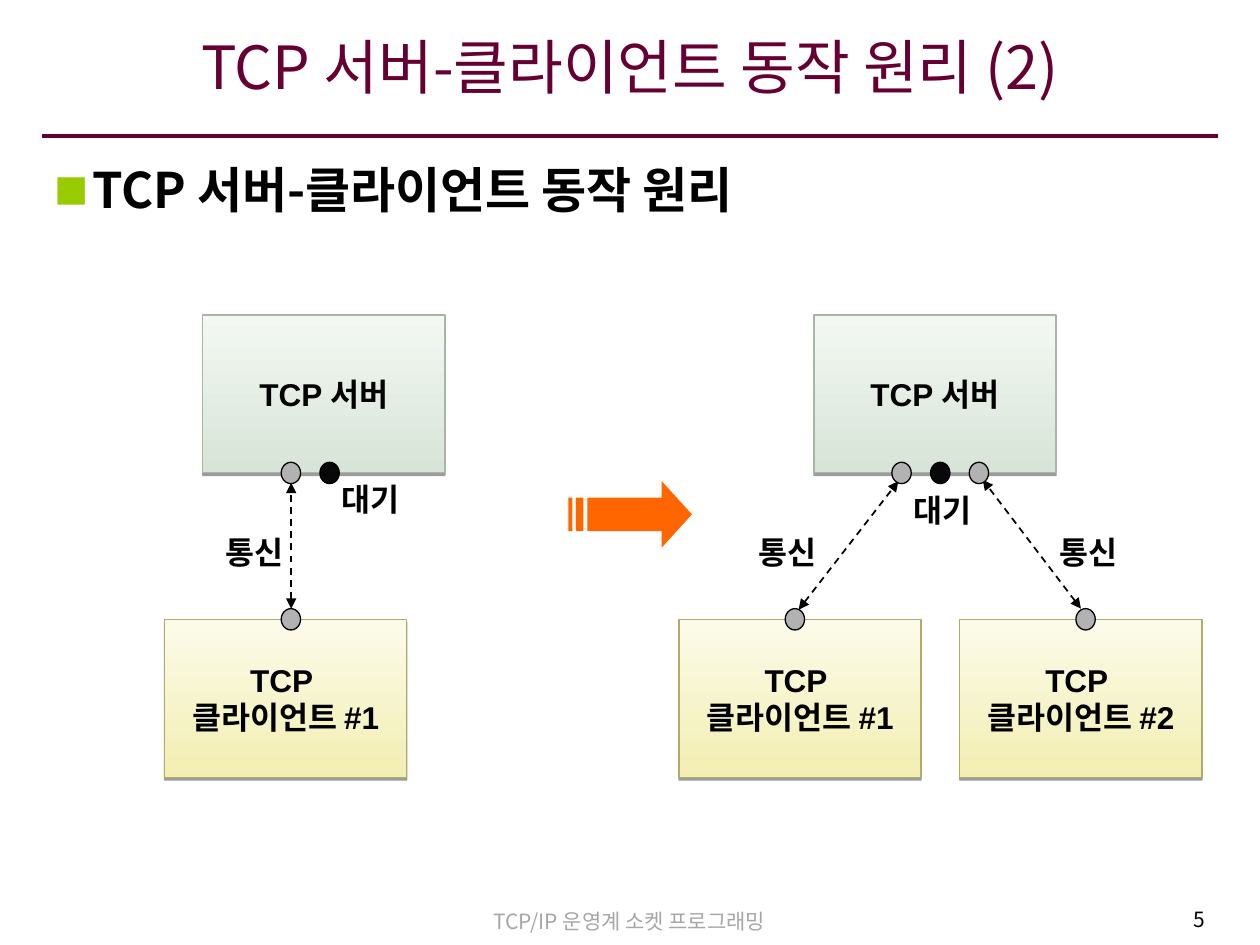
from dataclasses import dataclass

from lxml import etree
from pptx import Presentation
from pptx import util as u
from pptx.dml.color import RGBColor
from pptx.enum import dml, shapes, text
from pptx.oxml import ns

KOREAN = "Noto Sans CJK KR"
LATIN = "Arial"
BLACK = RGBColor(0, 0, 0)
WINE = RGBColor(0x66, 0x00, 0x33)
FOOTER_GRAY = RGBColor(0xA6, 0xA6, 0xA6)
ORANGE = RGBColor(0xFF, 0x66, 0x00)
WAITING = RGBColor(0x08, 0x08, 0x08)
CONNECTED = RGBColor(0xB2, 0xB2, 0xB2)
SERVER_COLORS = (RGBColor(0xD7, 0xE4, 0xD7), RGBColor(0xF3, 0xF8, 0xF3), RGBColor(0xA9, 0xB5, 0xA9))
CLIENT_COLORS = (RGBColor(0xF2, 0xEE, 0xB2), RGBColor(0xFC, 0xFB, 0xEA), RGBColor(0xAF, 0xAC, 0x67))

SERVER_TOP, CLIENT_TOP = 6.35, 12.49
BOX_WIDTH, BOX_HEIGHT = 4.88, 3.18
DOT_WIDTH, DOT_HEIGHT = 0.39, 0.43
SERVER_DOT_TOP, CLIENT_DOT_TOP = 9.32, 12.27
ARROW_LEFT, ARROW_MIDDLE = 11.46, 10.37


@dataclass(frozen=True)
class Node:
    left: float
    top: float
    label: str
    colors: tuple


@dataclass(frozen=True)
class Dot:
    left: float
    top: float
    color: RGBColor


@dataclass(frozen=True)
class Link:
    start: tuple
    end: tuple


@dataclass(frozen=True)
class Label:
    left: float
    top: float
    caption: str


NODES = [Node(left, SERVER_TOP, "TCP 서버", SERVER_COLORS) for left in (4.09, 16.41)] + [
    Node(left, CLIENT_TOP, f"TCP \n클라이언트 #{number}", CLIENT_COLORS)
    for left, number in ((3.32, 1), (13.69, 1), (19.35, 2))
]
DOTS = (
    [Dot(left, SERVER_DOT_TOP, WAITING) for left in (6.45, 18.76)]
    + [Dot(left, SERVER_DOT_TOP, CONNECTED) for left in (5.67, 17.98, 19.54)]
    + [Dot(left, CLIENT_DOT_TOP, CONNECTED) for left in (5.67, 15.83, 21.69)]
)
LINKS = [
    Link((5.87, 12.27), (5.87, 9.73)),
    Link((16.1, 12.29), (18.11, 9.7)),
    Link((21.79, 12.27), (19.81, 9.67)),
]
LABELS = [Label(left, 10.8, "통신") for left in (4.29, 15.04, 21.11)] + [
    Label(6.63, 9.73, "대기"),
    Label(18.16, 9.96, "대기"),
]


def add_xml(parent, tag: str, **attributes: str):
    return etree.SubElement(parent, ns.qn(tag), attributes)


def write_text(frame, content: str, *, size: float, color=BLACK, font=KOREAN, bold=False,
               align=text.PP_ALIGN.LEFT, anchor=text.MSO_ANCHOR.TOP, wrap=True) -> None:
    frame.word_wrap = wrap
    frame.auto_size = text.MSO_AUTO_SIZE.NONE
    frame.vertical_anchor = anchor
    for index, line in enumerate(content.split("\n")):
        paragraph = frame.add_paragraph() if index else frame.paragraphs[0]
        paragraph.alignment = align
        run = paragraph.add_run()
        run.text = line
        run.font.name = font
        run.font.size = u.Pt(size)
        run.font.bold = bold
        run.font.color.rgb = color
        add_xml(run._r.get_or_add_rPr(), "a:ea", typeface=KOREAN)


def add_text(slide, box: tuple, content: str, **style):
    shape = slide.shapes.add_textbox(*map(u.Cm, box))
    write_text(shape.text_frame, content, **style)
    return shape


def add_line(slide, start: tuple, end: tuple, color: RGBColor, width: float):
    connector = slide.shapes.add_connector(shapes.MSO_CONNECTOR.STRAIGHT, *map(u.Cm, start + end))
    connector.line.color.rgb = color
    connector.line.width = u.Pt(width)
    add_xml(connector._element.spPr, "a:effectLst")
    return connector


def add_link(slide, link: Link) -> None:
    line = add_line(slide, link.start, link.end, BLACK, 1).line
    line.dash_style = dml.MSO_LINE.DASH
    for tag in ("a:headEnd", "a:tailEnd"):
        add_xml(line._get_or_add_ln(), tag, type="triangle")


def add_outlined(slide, kind, box: tuple, line_color: RGBColor):
    shape = slide.shapes.add_shape(kind, *map(u.Cm, box))
    shape.shadow.inherit = False
    shape.line.color.rgb = line_color
    shape.line.width = u.Pt(0.75)
    return shape


def add_node(slide, node: Node) -> None:
    bottom_color, top_color, line_color = node.colors
    box = (node.left, node.top, BOX_WIDTH, BOX_HEIGHT)
    shape = add_outlined(slide, shapes.MSO_SHAPE.RECTANGLE, box, line_color)
    shape.fill.gradient()
    shape.fill.gradient_angle = 90
    for stop, color in zip(shape.fill.gradient_stops, (bottom_color, top_color)):
        stop.color.rgb = color
    effects = shape._element.spPr.find(ns.qn("a:effectLst"))
    shadow = add_xml(effects, "a:outerShdw", blurRad="0", dist=str(u.Pt(1.6)), dir="5400000",
                     rotWithShape="0")
    shadow_color = add_xml(shadow, "a:srgbClr", val=str(BLACK))
    add_xml(shadow_color, "a:alpha", val="38000")
    write_text(shape.text_frame, node.label, size=18, font=LATIN, bold=True, wrap=False,
               align=text.PP_ALIGN.CENTER, anchor=text.MSO_ANCHOR.MIDDLE)


def add_dot(slide, dot: Dot) -> None:
    box = (dot.left, dot.top, DOT_WIDTH, DOT_HEIGHT)
    shape = add_outlined(slide, shapes.MSO_SHAPE.OVAL, box, BLACK)
    shape.fill.solid()
    shape.fill.fore_color.rgb = dot.color


def add_striped_arrow(slide) -> None:
    half, wing = 0.34, 0.67
    head = [(1.88, -half), (1.88, -wing), (2.49, 0), (1.88, wing), (1.88, half)]
    contours = [[(0.38, half), (0.38, -half)] + head]
    for left, right in ((0.15, 0.3), (0, 0.08)):
        contours.append([(left, -half), (left, half), (right, half), (right, -half)])
    outlines = [[(u.Cm(ARROW_LEFT + x), u.Cm(ARROW_MIDDLE + y)) for x, y in contour]
                for contour in contours]
    builder = slide.shapes.build_freeform(*outlines[0][0])
    builder.add_line_segments(outlines[0][1:])
    for outline in outlines[1:]:
        builder.move_to(*outline[0])
        builder.add_line_segments(outline[1:])
    shape = builder.convert_to_shape()
    shape.shadow.inherit = False
    shape.fill.solid()
    shape.fill.fore_color.rgb = ORANGE
    shape.line.fill.background()


def add_title(slide) -> None:
    title = slide.shapes.title
    title.left, title.top, title.width, title.height = map(u.Cm, (0.85, 0.38, 23.7, 2.16))
    frame = title.text_frame
    frame.margin_left = frame.margin_right = u.Cm(0.2)
    frame.margin_top, frame.margin_bottom = u.Cm(0.13), u.Cm(0.41)
    write_text(frame, "TCP 서버-클라이언트 동작 원리 (2)", size=34, color=WINE,
               align=text.PP_ALIGN.CENTER, anchor=text.MSO_ANCHOR.MIDDLE)


def add_topic(slide) -> None:
    shape = add_text(slide, (0.85, 3.1, 23.7, 14.88), "TCP 서버-클라이언트 동작 원리",
                     size=28, bold=True)
    paragraph = shape.text_frame.paragraphs[0]
    paragraph.space_before = u.Pt(7)
    properties = paragraph._p.get_or_add_pPr()
    properties.set("marL", str(u.Cm(0.76)))
    properties.set("indent", str(u.Cm(-0.76)))
    add_xml(add_xml(properties, "a:buClr"), "a:srgbClr", val="99CC00")
    add_xml(properties, "a:buSzPct", val="70000")
    add_xml(properties, "a:buFont", typeface=KOREAN)
    add_xml(properties, "a:buChar", char="■")


def main() -> None:
    presentation = Presentation()
    presentation.slide_width, presentation.slide_height = u.Cm(25.4), u.Cm(19.05)
    slide = presentation.slides.add_slide(presentation.slide_layouts[5])
    add_title(slide)
    add_line(slide, (0.85, 2.74), (24.55, 2.74), WINE, 2.25)
    add_text(slide, (7.29, 18.19, 10.8, 0.76), "TCP/IP 운영계 소켓 프로그래밍", size=12,
             color=FOOTER_GRAY, align=text.PP_ALIGN.CENTER)
    add_text(slide, (19.15, 18.16, 5.39, 0.84), "5", size=12, align=text.PP_ALIGN.RIGHT)
    add_topic(slide)
    for items, draw in ((NODES, add_node), (LINKS, add_link), (DOTS, add_dot)):
        for item in items:
            draw(slide, item)
    for label in LABELS:
        add_text(slide, (label.left, label.top, 4.29, 0.64), label.caption, size=18, bold=True,
                 anchor=text.MSO_ANCHOR.MIDDLE)
    add_striped_arrow(slide)
    presentation.save("out.pptx")


if __name__ == "__main__":
    main()
